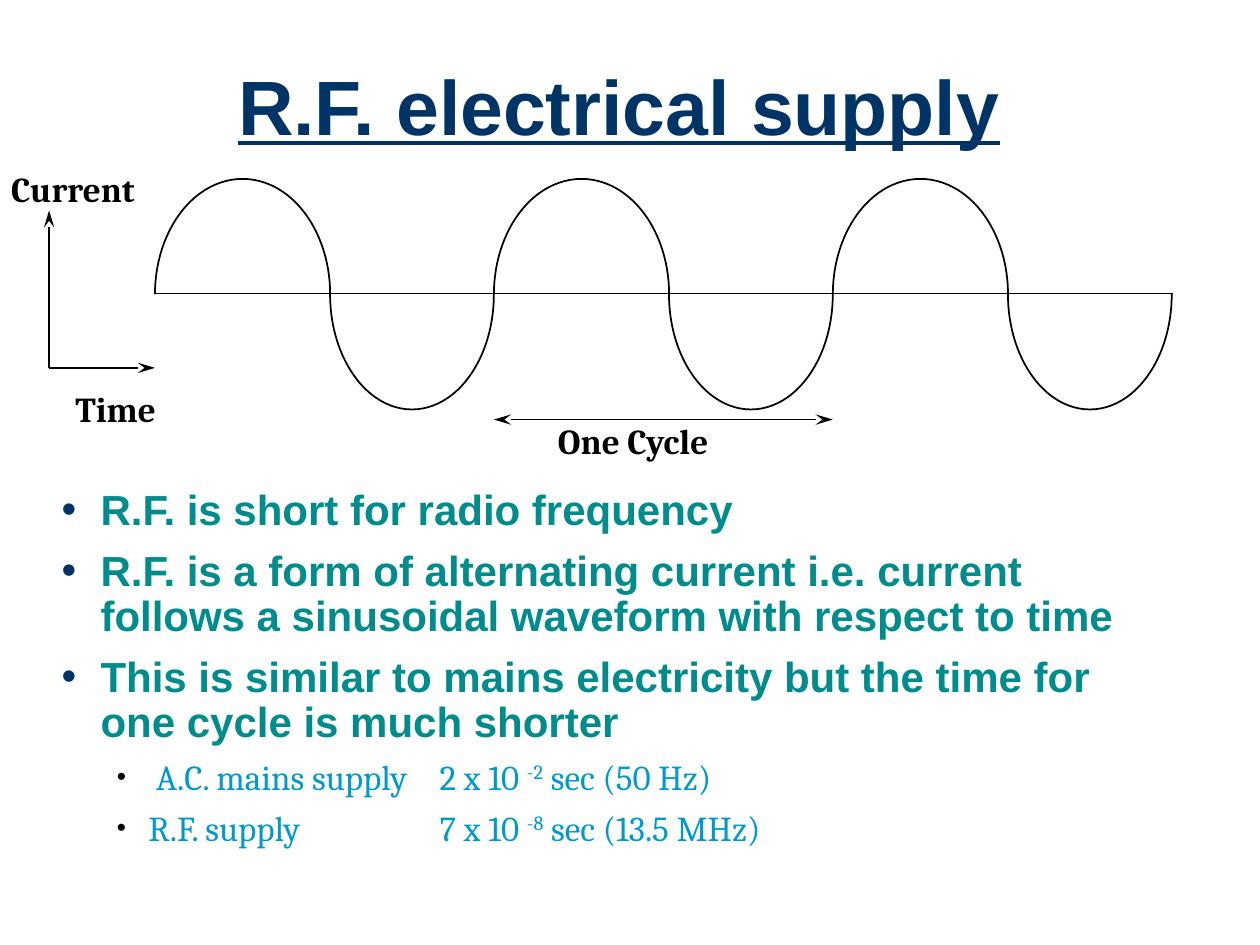
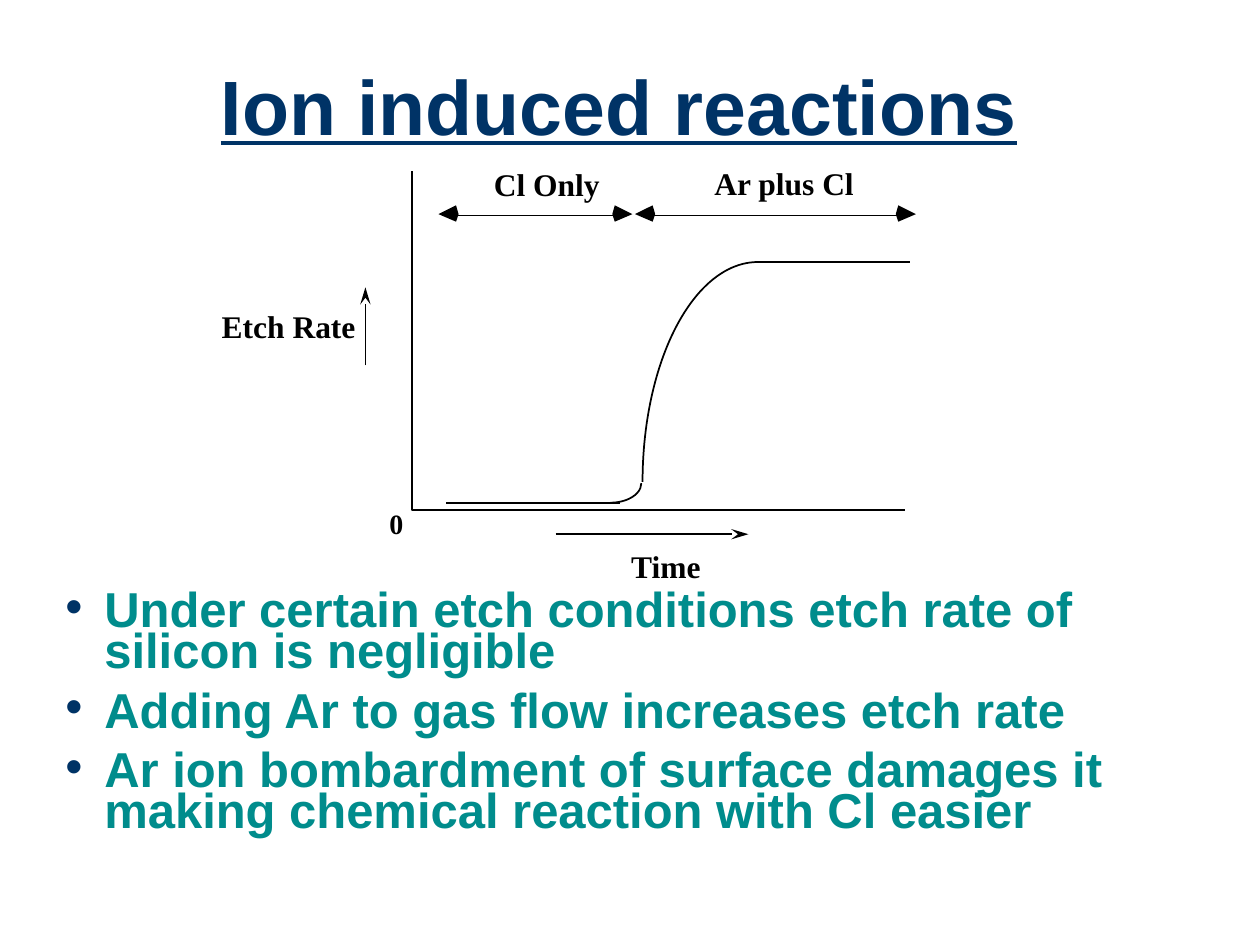
from lxml.etree import SubElement
from pptx import Presentation
from pptx.dml.color import RGBColor
from pptx.enum.shapes import MSO_CONNECTOR, MSO_SHAPE
from pptx.enum.text import MSO_ANCHOR, MSO_AUTO_SIZE, PP_ALIGN
from pptx.oxml.ns import qn
from pptx.util import Pt

PX = 9144  # 100 px to the inch
NAVY, TEAL, SKY, BLACK = "003366", "008C8C", "0099CC", "000000"
tint = RGBColor.from_string

# Shared text looks
HEAD = dict(name="Arial", size=Pt(44), bold=True, underline=True, color=NAVY)
MAIN = dict(name="Arial", size=Pt(24), bold=True, color=TEAL)
SUB = dict(name="Cambria", size=Pt(20), bold=False, color=SKY)
WAVE = dict(name="Cambria", size=Pt(20), bold=True, color=BLACK)
ETCH = dict(name="Times New Roman", size=Pt(18), bold=True, color=BLACK)

# Bullet looks by level: left margin, hang, colour, size
MARKS = [(31, 31, NAVY, 100000), (69, 25, BLACK, 75000)]


def write(para, text, look):
    run = para.add_run()
    run.text = text
    for key, val in look.items():
        if key == "color":
            run.font.color.rgb = tint(val)
        else:
            setattr(run.font, key, val)
    return run


def rule(page, ends, tips=()):
    line = page.shapes.add_connector(MSO_CONNECTOR.STRAIGHT, *[n * PX for n in ends])
    line.line.color.rgb = tint(BLACK)
    line.line.width = Pt(1)
    for tip in tips:
        SubElement(line.line._get_or_add_ln(), qn(f"a:{tip}"),
                   type="stealth", w="med", len="lg")
    SubElement(line._element.spPr, qn("a:effectLst"))


deck = Presentation()
deck.slide_width, deck.slide_height = 1000 * PX, 750 * PX

# Titles and bullets: title, body box, size, line spacing, gaps by level, items
plans = [
    ("R.F. electrical supply", (39, 383, 900, 308), 24, 0.9, (9, 7.5), [
        (0, ["R.F. is short for radio frequency"]),
        (0, ["R.F. is a form of alternating current i.e. current follows "
             "a sinusoidal waveform with respect to time"]),
        (0, ["This is similar to mains electricity but the time for "
             "one cycle is much shorter"]),
        (1, [" A.C. mains supply\t2 x 10 ", "-2", " sec (50 Hz)"]),
        (1, ["R.F. supply\t7 x 10 ", "-8", " sec (13.5 MHz)"]),
    ]),
    ("Ion induced reactions", (42, 467, 900, 217), 28, 0.7, (10.5, 0), [
        (0, ["Under certain etch conditions etch rate of silicon is negligible"]),
        (0, ["Adding Ar to gas flow increases etch rate"]),
        (0, ["Ar ion bombardment of surface damages it making chemical "
             "reaction with Cl easier"]),
    ]),
]
pages = []
for title, area, size, pitch, gaps, items in plans:
    page = deck.slides.add_slide(deck.slide_layouts[6])
    pages.append(page)
    frame = page.shapes.add_textbox(25 * PX, 25 * PX, 933 * PX, 125 * PX).text_frame
    frame.word_wrap = True
    frame.vertical_anchor = MSO_ANCHOR.MIDDLE
    para = frame.paragraphs[0]
    para.alignment = PP_ALIGN.CENTER
    para.line_spacing = 0.9
    write(para, title, HEAD)

    frame = page.shapes.add_textbox(*[n * PX for n in area]).text_frame
    frame.word_wrap = True
    for i, (level, parts) in enumerate(items):
        para = frame.add_paragraph() if i else frame.paragraphs[0]
        para.level = level
        para.line_spacing = pitch
        if i:
            para.space_before = Pt(gaps[level])
        left, hang, hue, part = MARKS[level]
        props = para._p.get_or_add_pPr()
        props.set("marL", str(left * PX))
        props.set("indent", str(-hang * PX))
        SubElement(SubElement(props, qn("a:buClr")), qn("a:srgbClr"), val=hue)
        SubElement(props, qn("a:buSzPct"), val=str(part))
        SubElement(props, qn("a:buFont"), typeface="Arial")
        SubElement(props, qn("a:buChar"), char="•")
        if level:
            tabs = SubElement(props, qn("a:tabLst"))
            SubElement(tabs, qn("a:tab"), pos=str(300 * PX), algn="l")
        look = SUB if level else {**MAIN, "size": Pt(size)}
        for k, text in enumerate(parts):
            run = write(para, text, look)
            if k == 1:  # exponent
                run._r.get_or_add_rPr().set("baseline", "30000")
wave, etch = pages

# Arcs: page, box, start and end angle
arcs = [
    (etch, (460, 368, 49, 31), 0, 90),
    (etch, (510, 208, 183, 349), 180, 270),
]
for n in range(3):
    x = 123 + 269 * n
    arcs += [(wave, (x, 142, 139, 183), 180, 0),
             (wave, (x + 139, 142, 130, 183), 0, 180)]
for page, area, start, end in arcs:
    arc = page.shapes.add_shape(MSO_SHAPE.ARC, *[n * PX for n in area])
    arc.adjustments[0], arc.adjustments[1] = start * 0.6, end * 0.6
    arc.fill.background()
    arc.line.color.rgb = tint(BLACK)
    arc.line.width = Pt(1)
    arc.shadow.inherit = False

# Etch rate axes
build = etch.shapes.build_freeform(327, 136, scale=PX)
build.add_line_segments([(327, 405), (718, 405)], close=False)
axes = build.convert_to_shape()
axes.fill.background()
axes.line.color.rgb = tint(BLACK)
axes.line.width = Pt(1)
axes.shadow.inherit = False

# Straight lines and arrows
both = ("headEnd", "tailEnd")
for page, ends, tips in [
    (wave, (123, 233, 931, 233), ()),
    (wave, (39, 292, 39, 167), both[1:]),
    (wave, (39, 292, 123, 292), both[1:]),
    (wave, (392, 333, 661, 333), both),
    (etch, (354, 399, 492, 399), ()),
    (etch, (602, 208, 722, 208), ()),
    (etch, (356, 171, 494, 171), ()),
    (etch, (512, 171, 719, 171), ()),
    (etch, (441, 424, 594, 424), both[1:]),
    (etch, (290, 290, 290, 228), both[1:]),
]:
    rule(page, ends, tips)

# Round-backed tips of the gas spans: point and direction of the back
for x, way in [(348, 1), (502, -1), (504, 1), (727, -1)]:
    build = etch.shapes.build_freeform(x, 170, scale=PX)
    build.add_line_segments(
        [(x + 14 * way, 163), (x + 16 * way, 170), (x + 14 * way, 176)])
    tip = build.convert_to_shape()
    tip.fill.solid()
    tip.fill.fore_color.rgb = tint(BLACK)
    tip.line.fill.background()
    tip.shadow.inherit = False

# Labels: each box grows with its text and never wraps
for page, area, text, look in [
    (wave, (50, 303, 92, 43), "Time", WAVE),
    (wave, (-1, 128, 132, 43), "Current", WAVE),
    (wave, (433, 328, 159, 43), "One Cycle", WAVE),
    (etch, (383, 126, 104, 39), "Cl Only", ETCH),
    (etch, (558, 125, 130, 39), "Ar plus Cl", ETCH),
    (etch, (167, 239, 126, 39), "Etch Rate", ETCH),
    (etch, (492, 429, 74, 39), "Time", ETCH),
    (etch, (300, 397, 29, 36), "0", {**ETCH, "size": Pt(16)}),
]:
    frame = page.shapes.add_textbox(*[n * PX for n in area]).text_frame
    frame.word_wrap = False
    frame.auto_size = MSO_AUTO_SIZE.SHAPE_TO_FIT_TEXT
    if page is etch:
        frame.margin_left = frame.margin_right = 9 * PX
    write(frame.paragraphs[0], text, look)

deck.save("out.pptx")
